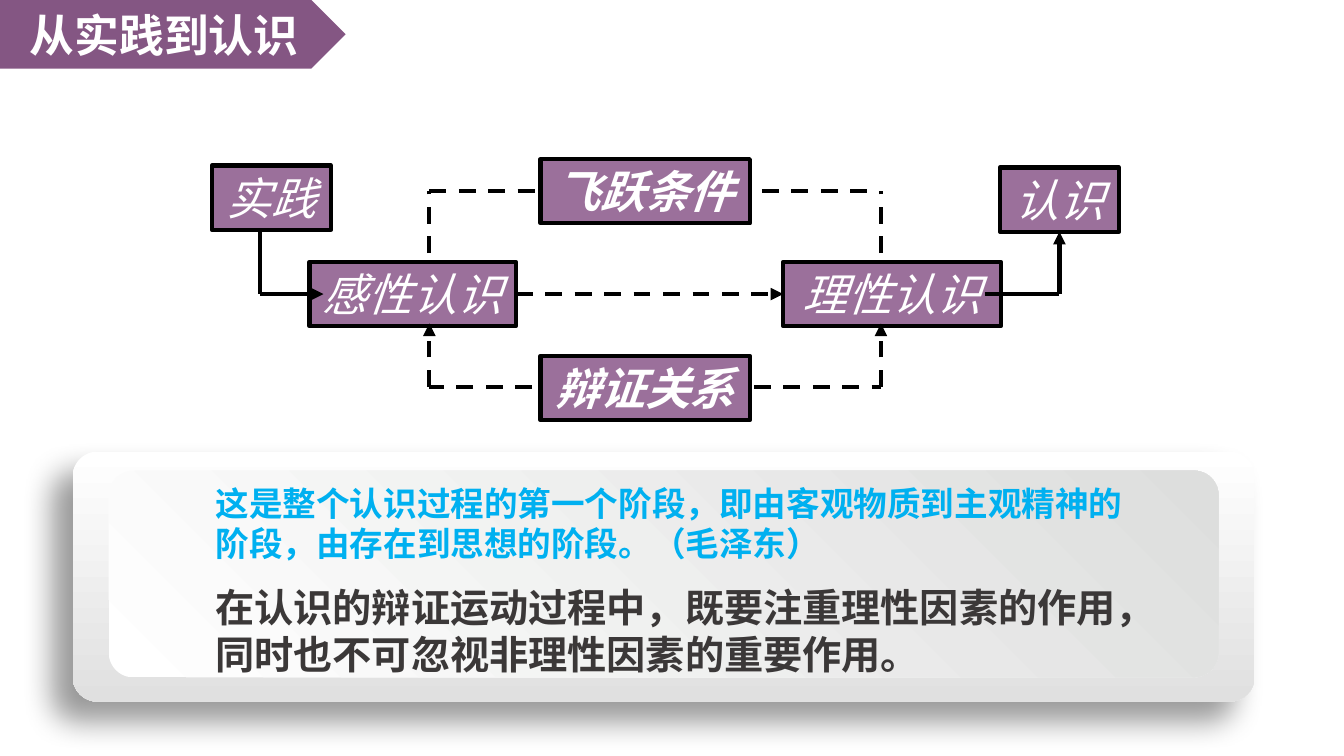
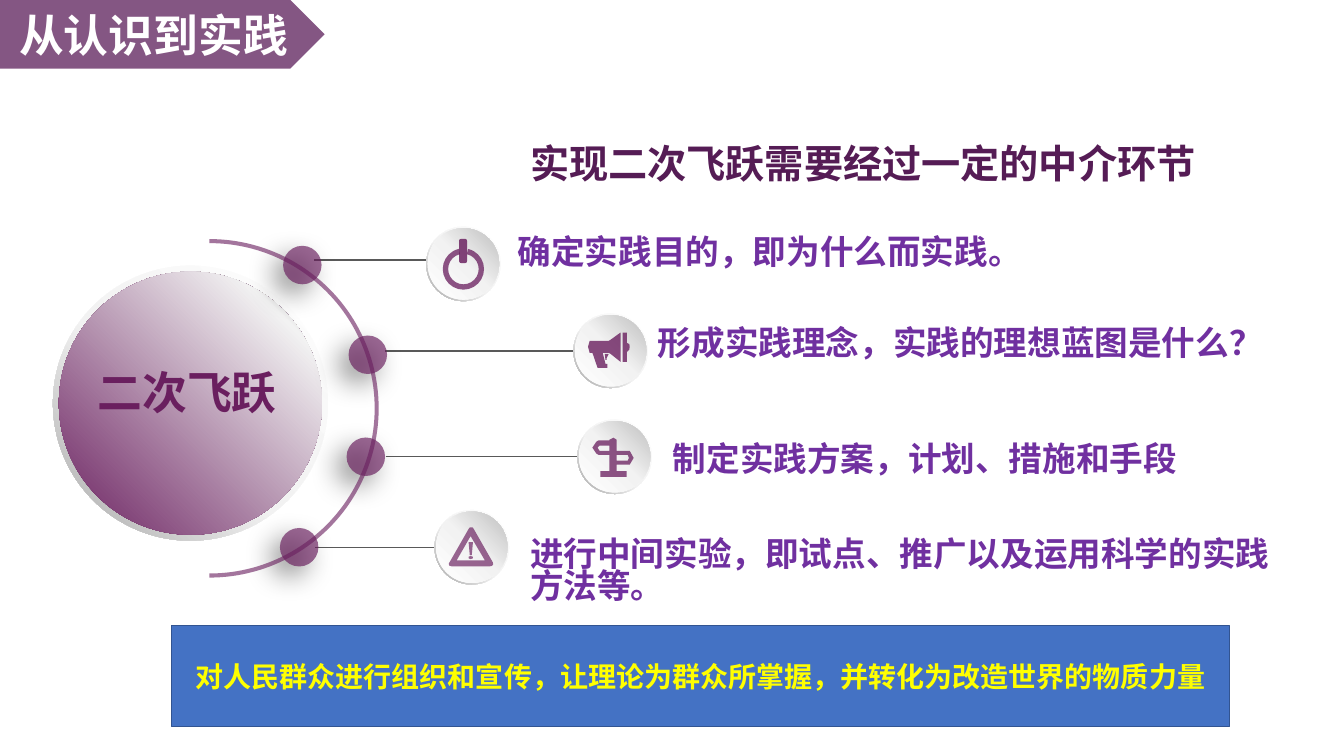
from dataclasses import dataclass
from itertools import pairwise

from lxml import etree
from pptx import Presentation
from pptx import util as u
from pptx.dml.color import RGBColor
from pptx.enum import dml, shapes, text
from pptx.oxml.ns import qn

Cm, Pt = u.Cm, u.Pt
MSO = shapes.MSO_SHAPE
ALIGN = text.PP_ALIGN


@dataclass(frozen=True)
class Theme:
    """Colours, type sizes and gradients shared by the slides."""
    font: str = "Noto Sans CJK SC"
    band: str = "5A1B58"
    node: str = "7F4980"
    plum: str = "6A1F5F"
    heading: str = "551C55"
    violet: str = "7030A0"
    sky: str = "00B0F0"
    ink: str = "3B3838"
    rule: str = "595959"
    bar: str = "4472C4"
    bar_edge: str = "325491"
    yellow: str = "FFFF00"
    white: str = "FFFFFF"
    black: str = "000000"
    title: int = 32
    lead: int = 28
    body: int = 24
    note: int = 20
    rim: tuple = ((0, "FFFFFF"), (55, "F2F2F2"), (100, "A6A6A6"))
    disc: tuple = ((0, "FFFFFF"), (51, "F2F2F2"), (100, "BFBFBF"))
    globe: tuple = ((0, "6A1F5F"), (84, "F2F2F2"), (93, "BFBFBF"))
    panel: tuple = ((0, "FFFFFF"), (100, "E0E0E0"))
    inset: tuple = ((0, "FFFFFF"), (100, "DDDEDD"))


T = Theme()

MEGAPHONE = [
    [(-53, -25), (-5, -25), (0, -28), (25, -46), (25, 28), (0, 8), (-5, 5), (-20, 5),
     (-13, 33), (-8, 33), (-8, 43), (-33, 43), (-46, 5), (-53, 5), (-57, -10)],
    [(41, -20), (47, -17), (48, -10), (47, -3), (41, 3), (41, 28), (30, 28),
     (30, -46), (41, -46)],
    [(-5, 8), (-15, 8), (-13, 23), (-10, 23), (-10, 18)],
]
SIGNPOST = [
    [(-13, -28), (-38, -28), (-43, -23), (-38, -15), (-13, -15)],
    [(5, -15), (38, -15), (48, 3), (38, 20), (5, 20), (5, 36), (30, 36), (30, 51),
     (-36, 51), (-36, 36), (-13, 36), (-13, -5), (-41, -5), (-46, -8), (-56, -23),
     (-46, -38), (-41, -41), (-13, -41), (-13, -43), (-3, -48), (5, -43)],
    [(33, -5), (5, -5), (5, 10), (33, 10), (36, 3)],
]
WARNING = [
    [(5, -46), (53, 38), (54, 43), (51, 47), (46, 48), (-51, 48), (-57, 46),
     (-58, 41), (-56, 38), (-8, -46), (-5, -50), (2, -50)],
    [(-3, -28), (-38, 33), (33, 33)],
    [(-8, -13), (-5, 20), (0, 20), (3, -13)],
    [(-3, 30), (3, 28), (3, 24), (-3, 22), (-8, 24), (-8, 28)],
]


def rgb(color):
    """Return a colour object for a hex string."""
    return RGBColor.from_string(color)


def color_node(parent, color, alpha=None):
    """Add an sRGB colour element, optionally translucent."""
    node = etree.SubElement(parent, qn("a:srgbClr"), val=color)
    if alpha is not None:
        etree.SubElement(node, qn("a:alpha"), val=str(alpha * 1000))


def paint(sp, color, alpha=None):
    """Give a shape a plain fill without outline or shadow."""
    sp.shadow.inherit = False
    sp.line.fill.background()
    sp.fill.solid()
    sp.fill.fore_color.rgb = rgb(color)
    if alpha is not None:
        node = sp._element.spPr.find(qn("a:solidFill")).find(qn("a:srgbClr"))
        etree.SubElement(node, qn("a:alpha"), val=str(alpha * 1000))
    return sp


def shade(sp, stops, angle):
    """Fill a shape with a linear gradient at a clockwise angle."""
    sp.fill.gradient()
    sp.fill.gradient_angle = 360 - angle
    lst = sp._element.spPr.find(qn("a:gradFill")).find(qn("a:gsLst"))
    for gs in list(lst):
        lst.remove(gs)
    for pos, color in stops:
        color_node(etree.SubElement(lst, qn("a:gs"), pos=str(pos * 1000)), color)


def cast_shadow(sp, alpha, blur, dist):
    """Add an outer shadow towards the lower left."""
    lst = sp._element.spPr.find(qn("a:effectLst"))
    shadow = etree.SubElement(lst, qn("a:outerShdw"), blurRad=str(Pt(blur)),
                              dist=str(Pt(dist)), dir=str(135 * 60000), rotWithShape="0")
    color_node(shadow, T.black, alpha)


def add_shape(s, kind, box, color=T.white, alpha=None, adj=()):
    """Add a preset shape at a box given in centimetres."""
    sp = s.shapes.add_shape(kind, *map(Cm, box))
    for i, value in enumerate(adj):
        sp.adjustments[i] = value
    return paint(sp, color, alpha)


def add_round(s, kind, center, size, **style):
    """Add a square-boxed shape around a centre point."""
    x, y = center
    return add_shape(s, kind, (x - size / 2, y - size / 2, size, size), **style)


def write(sp, paras, anchor=text.MSO_ANCHOR.TOP, align=ALIGN.LEFT, italic=False,
          bold=True, spacing=None, wrap=True):
    """Write (text, size, colour) paragraphs into a shape."""
    tf = sp.text_frame
    tf.word_wrap = wrap
    tf.vertical_anchor = anchor
    for i, (words, size, color) in enumerate(paras):
        p = tf.add_paragraph() if i else tf.paragraphs[0]
        p.add_run().text = words
        p.alignment = align
        if spacing:
            p.line_spacing = spacing
        if i:
            p.space_before = Pt(size / 2)
        f = p.font
        f.name, f.size, f.bold, f.italic = T.font, Pt(size), bold, italic
        f.color.rgb = rgb(color)
        etree.SubElement(p._p.pPr.find(qn("a:defRPr")), qn("a:ea"), typeface=T.font)


def add_text(s, box, *paras, **style):
    """Add a text box."""
    write(s.shapes.add_textbox(*map(Cm, box)), paras, **style)


def add_line(s, start, end, color=T.black, width=3, dash=False, arrow=False):
    """Add a straight connector between two points."""
    c = s.shapes.add_connector(shapes.MSO_CONNECTOR.STRAIGHT, *map(Cm, start + end))
    c.line.color.rgb = rgb(color)
    c.line.width = Pt(width)
    if dash:
        c.line.dash_style = dml.MSO_LINE.DASH
    if arrow:
        etree.SubElement(c.line._ln, qn("a:tailEnd"), type="triangle")
    etree.SubElement(c._element.spPr, qn("a:effectLst"))
    return c


def add_route(s, points, dash=False, arrow=False):
    """Add a chain of lines and return the last one."""
    for a, b in pairwise(points):
        c = add_line(s, a, b, dash=dash, arrow=arrow and b == points[-1])
    return c


def add_title(s, words, width):
    """Add the pentagon title band."""
    sp = add_shape(s, MSO.PENTAGON, (0, 0, width, 1.73), T.band, 74)
    write(sp, [(words, T.title, T.white)], text.MSO_ANCHOR.MIDDLE, ALIGN.CENTER)


def add_node(s, words, x, y, width, bold=False):
    """Add an outlined box of the flow diagram."""
    sp = add_shape(s, MSO.RECTANGLE, (x, y, width, 1.62), T.node, 78)
    sp.line.color.rgb = rgb(T.black)
    sp.line.width = Pt(3)
    write(sp, [(words, T.title, T.white)], align=ALIGN.CENTER, italic=True, bold=bold)
    return sp


def add_ball(s, center, size, inner, stops):
    """Add a shaded disc inside a thin rim."""
    shade(add_round(s, MSO.DONUT, center, size, adj=(0.05,)), T.rim, 135)
    shade(add_round(s, MSO.OVAL, center, inner), stops, 315)


def add_outline(s, center, contours, alpha):
    """Add an icon from contours in hundredths of a centimetre."""
    fb = None
    for first, *rest in contours:
        if fb is None:
            fb = s.shapes.build_freeform(*first, scale=Cm(0.01))
        else:
            fb.move_to(*first)
        fb.add_line_segments(rest, close=True)
    paint(fb.convert_to_shape(*map(Cm, center)), T.plum, alpha)


def add_power(s, center):
    """Add a power-button icon."""
    x, y = center
    add_round(s, MSO.BLOCK_ARC, (x, y + 0.13), 1.04, color=T.plum, alpha=76,
              adj=(169.8, 154.2, 0.13))
    add_shape(s, MSO.ROUNDED_RECTANGLE, (x - 0.11, y - 0.63, 0.2, 0.61), T.plum, 83, (0.25,))


def add_step(s, dot, line, badge, icon, alpha):
    """Add a dot, its leader line and its icon badge."""
    start, end, y = line
    add_line(s, (start, y), (end, y), T.rule, 1)
    sp = add_round(s, MSO.OVAL, dot, 0.97, color=T.plum, alpha=67)
    cast_shadow(sp, 60, 20, 10)
    add_ball(s, badge, 1.88, 1.8, T.disc)
    if icon:
        add_outline(s, badge, icon, alpha)
    else:
        add_power(s, badge)


def to_knowledge(s):
    """Build the slide on practice to knowledge."""
    add_node(s, "实践", 5.34, 4.17, 3)
    sense = add_node(s, "感性认识", 7.8, 6.6, 5.2)
    reason = add_node(s, "理性认识", 19.74, 6.6, 5.48)
    knowledge = add_node(s, "认识", 25.2, 4.22, 3)
    add_node(s, "辩证关系", 13.62, 8.97, 5.28, bold=True)
    leap = add_node(s, "飞跃条件", 13.62, 4.01, 5.28, bold=True)

    left, right, top, mid, low = 10.82, 22.2, 4.82, 7.41, 9.75
    add_route(s, [(6.55, 5.77), (6.55, mid), (8.15, mid)], arrow=True)
    c = add_route(s, [(24.82, mid), (26.7, mid), (26.7, 5.84)], arrow=True)
    c.end_connect(knowledge, 2)
    c = add_line(s, (13, mid), (19.74, mid), dash=True, arrow=True)
    c.begin_connect(sense, 3)
    c.end_connect(reason, 1)
    c = add_route(s, [(left, 6.38), (left, top), (13.62, top)], dash=True)
    c.end_connect(leap, 1)
    add_line(s, (right, 6.38), (right, top), dash=True)
    add_line(s, (19.2, top), (22.02, top), dash=True)
    for start, x in ((13.41, left), (19, right)):
        add_route(s, [(start, low), (x, low), (x, 8.15)], dash=True, arrow=True)

    add_title(s, "从实践到认识", 8.71)
    panel = add_shape(s, MSO.ROUNDED_RECTANGLE, (1.83, 11.38, 29.79, 6.3), adj=(0.1,))
    shade(panel, T.panel, 90)
    cast_shadow(panel, 40, 22, 20)
    inset = add_shape(s, MSO.ROUNDED_RECTANGLE, (2.74, 11.86, 27.97, 5.21), adj=(0.12,))
    shade(inset, T.inset, 315)
    add_text(
        s, (5.18, 12.04, 23.6, 5.31),
        ("这是整个认识过程的第一个阶段，即由客观物质到主观精神的阶段，由存在到思想的阶段。（毛泽东）",
         T.body, T.sky),
        ("在认识的辩证运动过程中，既要注重理性因素的作用，同时也不可忽视非理性因素的重要作用。",
         T.lead, T.ink))


def to_practice(s):
    """Build the slide on knowledge to practice."""
    add_ball(s, (4.8, 10.16), 6.93, 6.63, T.globe)
    steps = [
        ((7.62, 6.68), (7.92, 10.95, 6.55), (11.68, 6.65), None, 76),
        ((9.27, 8.94), (9.7, 14.73, 8.84), (15.39, 8.84), MEGAPHONE, 80),
        ((9.22, 11.51), (9.73, 14.68, 11.51), (15.49, 11.51), SIGNPOST, 76),
        ((7.54, 13.79), (7.95, 10.95, 13.79), (11.89, 13.79), WARNING, 68),
    ]
    for step in steps:
        add_step(s, *step)
    add_round(s, MSO.BLOCK_ARC, (5.28, 10.29), 8.53, color=T.plum, alpha=61,
              adj=(162, 54, 0.012))
    add_text(s, (2.21, 9.07, 5.16, 1.62), ("二次飞跃", T.title, T.plum))
    for box, words in (
        ((12.8, 5.89, 19.56, 1.07), "确定实践目的，即为什么而实践。"),
        ((16.33, 8.18, 16.87, 1.07), "形成实践理念，实践的理想蓝图是什么？"),
        ((16.71, 11.1, 15.65, 1.07), "制定实践方案，计划、措施和手段"),
        ((13.11, 13.49, 19.48, 1.9), "进行中间实验，即试点、推广以及运用科学的实践方法等。"),
    ):
        add_text(s, box, (words, T.body, T.violet), spacing=0.8)
    add_title(s, "从认识到实践", 8.18)
    add_text(s, (13.11, 3.38, 17.55, 1.45),
             ("实现二次飞跃需要经过一定的中介环节", T.lead, T.heading), wrap=False)
    bar = add_shape(s, MSO.RECTANGLE, (4.32, 15.77, 26.67, 2.54), T.bar)
    bar.line.color.rgb = rgb(T.bar_edge)
    bar.line.width = Pt(1)
    write(bar, [("对人民群众进行组织和宣传，让理论为群众所掌握，并转化为改造世界的物质力量",
                 T.note, T.yellow)], text.MSO_ANCHOR.MIDDLE, ALIGN.CENTER)


def main():
    """Build and save the presentation."""
    prs = Presentation()
    prs.slide_width, prs.slide_height = Cm(33.87), Cm(19.05)
    for build in (to_knowledge, to_practice):
        build(prs.slides.add_slide(prs.slide_layouts[6]))
    prs.save("out.pptx")


if __name__ == "__main__":
    main()
